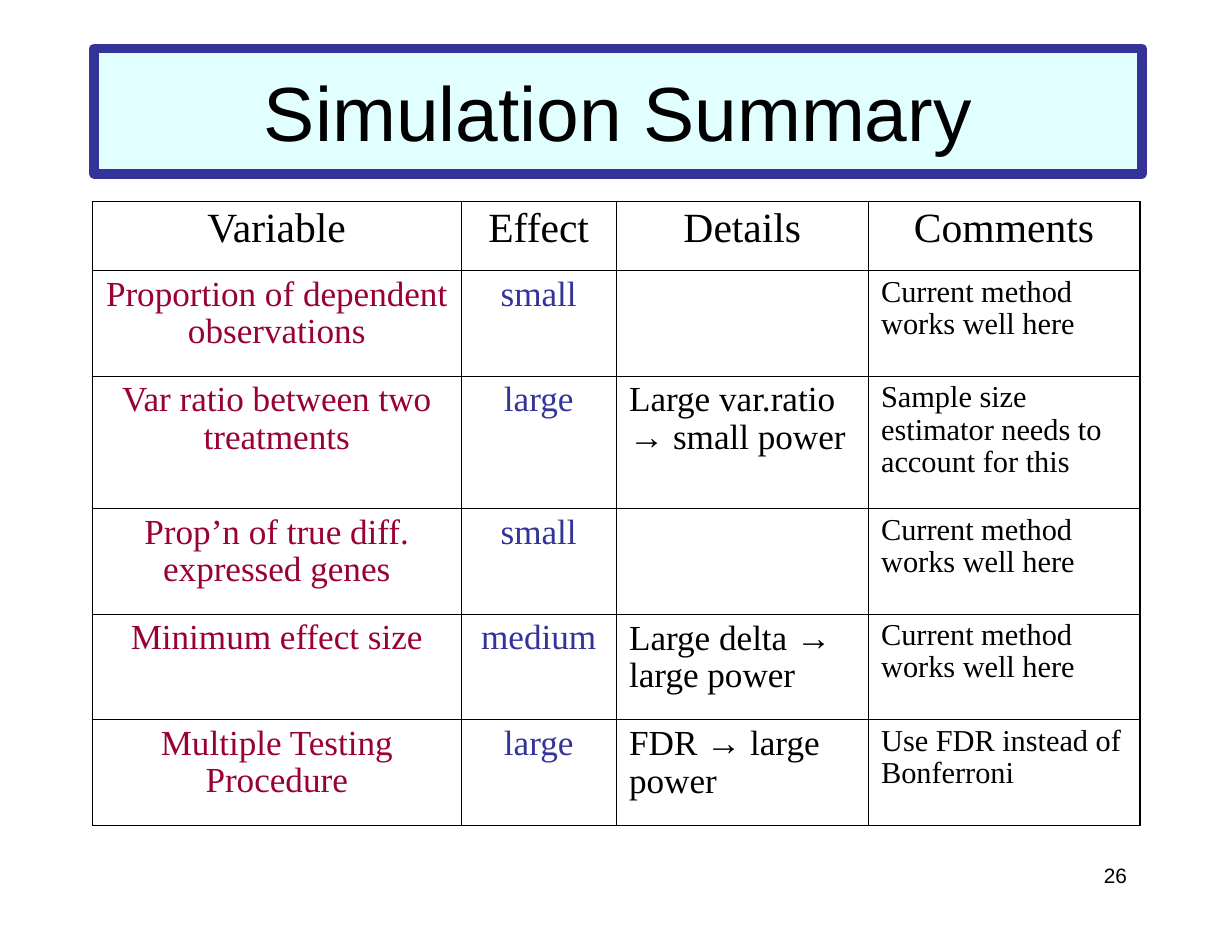
from dataclasses import dataclass

from lxml import etree
from pptx import Presentation
from pptx import util as u
from pptx.dml.color import RGBColor
from pptx.enum import text
from pptx.oxml import ns


@dataclass(frozen=True)
class Theme:
    ink: str = "000000"
    variable: str = "990033"
    accent: str = "333399"
    title_fill: str = "E1FFFF"
    sans: str = "Arial"
    serif: str = "Times New Roman"
    title_size: int = 48
    header_size: int = 26
    body_size: int = 22
    comment_size: int = 19
    number_size: int = 13
    title_line: float = 6
    outer_line: float = 1.08
    inner_line: float = 0.45
    table_spacing: float = 0.96


THEME = Theme()
ARROW = "→"
CENTER, LEFT, RIGHT = text.PP_ALIGN.CENTER, text.PP_ALIGN.LEFT, text.PP_ALIGN.RIGHT
MARGINS = {
    "margin_left": u.Cm(0.28),
    "margin_right": u.Cm(0.28),
    "margin_top": u.Cm(0.13),
    "margin_bottom": u.Cm(0.13),
}
COLUMN_WIDTHS = [8.13, 3.43, 5.56, 5.99]
ROW_HEIGHTS = [1.52, 2.33, 2.92, 2.33, 2.33, 2.33]
HEADER_FORMAT = (CENTER, THEME.header_size, THEME.ink)
COLUMN_FORMATS = [
    (CENTER, THEME.body_size, THEME.variable),
    (CENTER, THEME.body_size, THEME.accent),
    (LEFT, THEME.body_size, THEME.ink),
    (LEFT, THEME.comment_size, THEME.ink),
]
SUMMARY = [
    ["Variable", "Effect", "Details", "Comments"],
    ["Proportion of dependent observations", "small", "",
     "Current method works well here"],
    ["Var ratio between two treatments", "large",
     "Large var.ratio → small power",
     "Sample size estimator needs to account for this"],
    ["Prop’n of true diff. expressed genes", "small", "",
     "Current method works well here"],
    ["Minimum effect size", "medium", "Large delta → large power",
     "Current method works well here"],
    ["Multiple Testing Procedure", "large", "FDR → large power",
     "Use FDR instead of Bonferroni"],
]


def apply(target, values):
    for name, value in values.items():
        setattr(target, name, value)


def place(shape, left, top, width, height):
    apply(shape, {
        "left": u.Cm(left), "top": u.Cm(top),
        "width": u.Cm(width), "height": u.Cm(height),
    })


def write(tf, content, font, size, color, align, spacing=1.0):
    p = tf.paragraphs[0]
    apply(p, {"alignment": align, "line_spacing": spacing})
    for part in filter(None, content.partition(ARROW)):
        r = p.add_run()
        r.text = part
        apply(r.font, {
            "name": THEME.sans if part == ARROW else font,
            "size": u.Pt(size), "bold": False,
        })
        r.font.color.rgb = RGBColor.from_string(color)


def add_title(s, content):
    sp = s.shapes.title
    place(sp, 2.08, 1.07, 23.11, 2.77)
    sp.fill.solid()
    sp.fill.fore_color.rgb = RGBColor.from_string(THEME.title_fill)
    sp.line.color.rgb = RGBColor.from_string(THEME.accent)
    sp.line.width = u.Pt(THEME.title_line)
    tf = sp.text_frame
    apply(tf, {
        **MARGINS, "word_wrap": True,
        "auto_size": text.MSO_AUTO_SIZE.NONE,
        "vertical_anchor": text.MSO_ANCHOR.MIDDLE,
    })
    write(tf, content, THEME.sans, THEME.title_size, THEME.ink, CENTER)


def set_borders(cell, outer_sides):
    tc_pr = cell._tc.get_or_add_tcPr()
    for side, is_outer in outer_sides.items():
        width = THEME.outer_line if is_outer else THEME.inner_line
        ln = etree.SubElement(tc_pr, ns.qn(f"a:ln{side}"), w=str(u.Pt(width)))
        fill = etree.SubElement(ln, ns.qn("a:solidFill"))
        etree.SubElement(fill, ns.qn("a:srgbClr"), val=THEME.ink)


def add_summary_table(s):
    rows, cols = len(ROW_HEIGHTS), len(COLUMN_WIDTHS)
    table = s.shapes.add_table(
        rows, cols, u.Cm(2.04), u.Cm(4.45),
        u.Cm(sum(COLUMN_WIDTHS)), u.Cm(sum(ROW_HEIGHTS))).table
    apply(table, {"first_row": False, "horz_banding": False})
    for column, width in zip(table.columns, COLUMN_WIDTHS):
        column.width = u.Cm(width)
    for i, (row, height) in enumerate(zip(table.rows, ROW_HEIGHTS)):
        row.height = u.Cm(height)
        for j, cell in enumerate(row.cells):
            align, size, color = COLUMN_FORMATS[j] if i else HEADER_FORMAT
            apply(cell, MARGINS)
            set_borders(cell, {
                "L": j == 0, "R": j == cols - 1,
                "T": i == 0, "B": i == rows - 1,
            })
            cell.fill.background()
            write(cell.text_frame, SUMMARY[i][j], THEME.serif, size, color,
                  align, THEME.table_spacing)


def add_page_number(s, content):
    sp = s.shapes.add_textbox(u.Cm(19.48), u.Cm(18.97), u.Cm(5.66), u.Cm(1.4))
    tf = sp.text_frame
    apply(tf, {**MARGINS, "word_wrap": True})
    write(tf, content, THEME.sans, THEME.number_size, THEME.ink, RIGHT, 0.9)


def main():
    prs = Presentation()
    apply(prs, {"slide_width": u.Cm(27.18), "slide_height": u.Cm(20.83)})
    s = prs.slides.add_slide(prs.slide_layouts.get_by_name("Title Only"))
    add_title(s, "Simulation Summary")
    add_summary_table(s)
    add_page_number(s, "26")
    prs.save("out.pptx")


if __name__ == "__main__":
    main()
